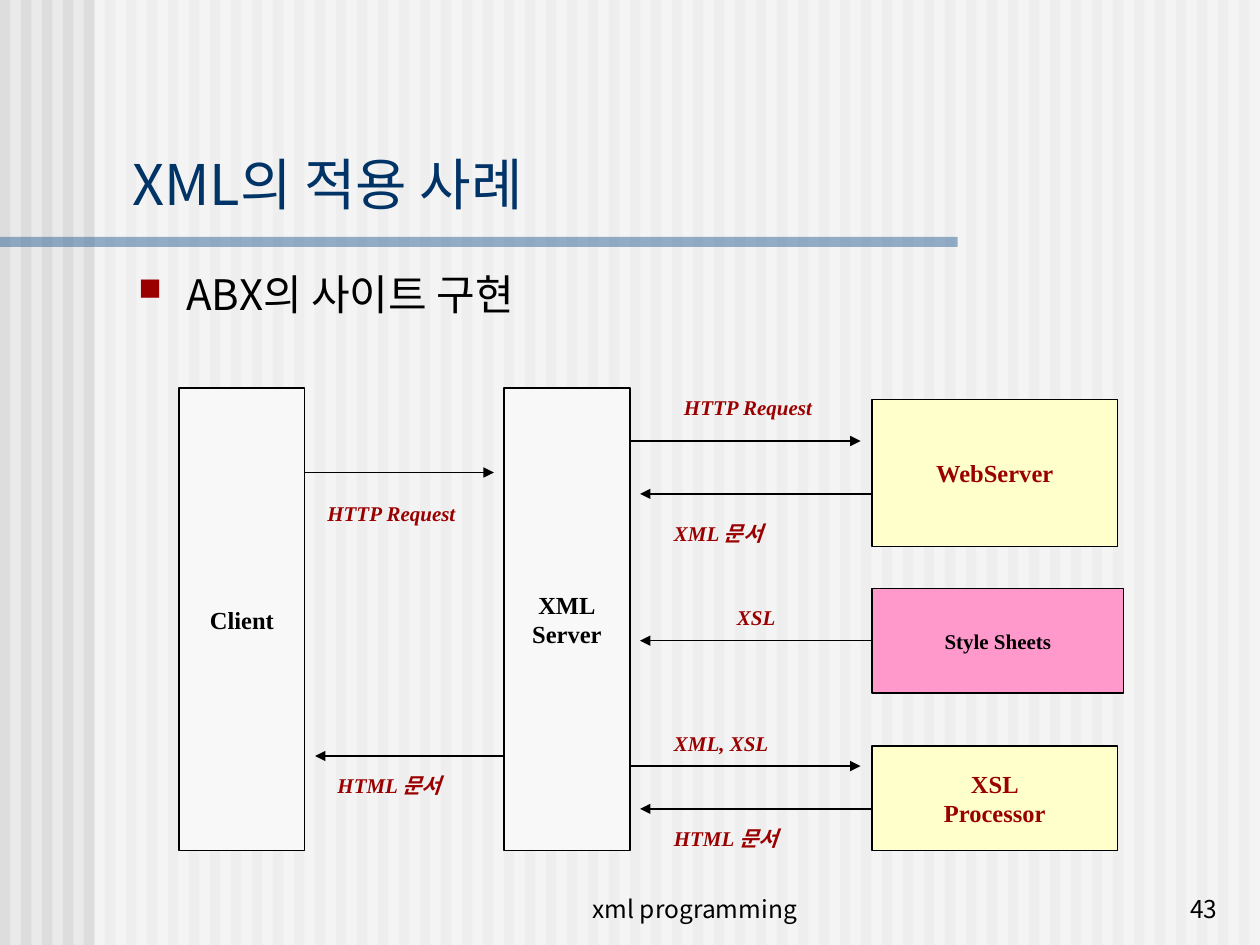
"""Build a slide showing how a site serves XML documents between client and servers."""
from pptx import Presentation
from pptx.dml.color import RGBColor
from pptx.enum.shapes import MSO_CONNECTOR, MSO_SHAPE
from pptx.enum.text import MSO_ANCHOR, PP_ALIGN
from pptx.oxml.ns import qn
from pptx.util import Inches, Pt

RECTANGLE = MSO_SHAPE.RECTANGLE
STRAIGHT = MSO_CONNECTOR.STRAIGHT
TOP, MIDDLE, BOTTOM = MSO_ANCHOR.TOP, MSO_ANCHOR.MIDDLE, MSO_ANCHOR.BOTTOM
LEFT, CENTER, RIGHT = PP_ALIGN.LEFT, PP_ALIGN.CENTER, PP_ALIGN.RIGHT
LEFT_SIDE = 1

SANS, SERIF = "Noto Sans CJK KR", "Times New Roman"
COLORS = {
    "background": "EAEAEA", "stripe": "DDDDDD", "veil": "FFFFFF", "rule": "336699",
    "title": "003366", "black": "000000", "red": "9A0000",
    "gray": "F8F8F8", "yellow": "FFFFCC", "pink": "FF99CC",
}
SLIDE_WIDTH, SLIDE_HEIGHT = 10, 7.5
STRIPE_COUNT = 60
STRIPE_PITCH = SLIDE_WIDTH / STRIPE_COUNT

TITLE = "XML의 적용 사례"
BULLET = "ABX의 사이트 구현"
FOOTER = "xml programming"
PAGE_NUMBER = "43"

NODES = [
    ("Client", (1.42, 3.08, 1, 3.67), "gray", "black", 14),
    ("XML\nServer", (4, 3.08, 1, 3.67), "gray", "black", 14),
    ("WebServer", (6.92, 3.17, 1.95, 1.17), "yellow", "red", 14),
    ("Style Sheets", (6.92, 4.67, 2, 0.83), "pink", "black", 12),
    ("XSL\nProcessor", (6.92, 5.92, 1.95, 0.83), "yellow", "red", 14),
]
FLOWS = [
    (2.42, 3.92, 3.75, None),
    (4, 2.5, 6, None),
    (5, 6.83, 3.5, None),
    (6.92, 5.08, 3.92, None),
    (6.92, 5.08, 5.08, "Style Sheets"),
    (5, 6.83, 6.08, None),
    (6.92, 5.08, 6.42, None),
]
LABELS = [
    ("HTTP Request", 2.5, 3.92),
    ("HTML 문서", 2.58, 6.08),
    ("HTTP Request", 5.33, 3.08),
    ("XML 문서", 5.25, 4.08),
    ("XSL", 5.75, 4.75),
    ("XML, XSL", 5.25, 5.75),
    ("HTML 문서", 5.25, 6.5),
]


def rgb(name):
    return RGBColor.from_string(COLORS[name])


def write(frame, text, size, color="black", font=SANS, bold=False, italic=False,
          align=LEFT, anchor=TOP, wrap=True):
    frame.text = text
    frame.word_wrap = wrap
    frame.vertical_anchor = anchor
    for paragraph in frame.paragraphs:
        paragraph.alignment = align
        for run in paragraph.runs:
            run.font.name = font
            run.font.size = Pt(size)
            run.font.bold = bold
            run.font.italic = italic
            run.font.color.rgb = rgb(color)
            east_asian = run.font._element.makeelement(qn("a:ea"), {"typeface": SANS})
            run.font._element.find(qn("a:latin")).addnext(east_asian)


def add_text(slide, text, box, size, **style):
    frame = slide.shapes.add_textbox(*map(Inches, box)).text_frame
    write(frame, text, size, **style)
    return frame


def add_rectangle(slide, box, fill, alpha=None):
    rectangle = slide.shapes.add_shape(RECTANGLE, *map(Inches, box))
    rectangle.shadow.inherit = False
    rectangle.fill.solid()
    rectangle.fill.fore_color.rgb = rgb(fill)
    rectangle.line.fill.background()
    if alpha:
        color = rectangle._element.spPr.find(qn("a:solidFill"))[0]
        color.append(color.makeelement(qn("a:alpha"), {"val": str(alpha * 1000)}))
    return rectangle


def outline(line):
    line.color.rgb = rgb("black")
    line.width = Pt(0.75)


def add_bullet(paragraph):
    properties = paragraph._p.get_or_add_pPr()
    properties.set("marL", str(Inches(0.38)))
    properties.set("indent", str(-Inches(0.38)))
    color = properties.makeelement(qn("a:buClr"), {})
    color.append(color.makeelement(qn("a:srgbClr"), {"val": COLORS["red"]}))
    properties.append(color)
    for tag, attributes in (("a:buSzPct", {"val": "75000"}), ("a:buChar", {"char": "■"})):
        properties.append(properties.makeelement(qn(tag), attributes))


def add_backdrop(slide):
    slide.background.fill.solid()
    slide.background.fill.fore_color.rgb = rgb("background")
    for index in range(STRIPE_COUNT):
        add_rectangle(slide, (index * STRIPE_PITCH, 0, STRIPE_PITCH / 2, SLIDE_HEIGHT), "stripe")
    add_rectangle(slide, (0.75, 0, SLIDE_WIDTH - 0.75, SLIDE_HEIGHT), "veil", alpha=50)
    add_rectangle(slide, (0, 1.88, 7.6, 0.08), "rule", alpha=50)


def add_node(slide, text, box, fill, color, size):
    node = add_rectangle(slide, box, fill)
    outline(node.line)
    write(node.text_frame, text, size, color=color, font=SERIF, bold=True,
          align=CENTER, anchor=MIDDLE, wrap=False)
    return node


def add_flow(slide, start, end, y, source):
    flow = slide.shapes.add_connector(STRAIGHT, *map(Inches, (start, y, end, y)))
    if source:
        flow.begin_connect(source, LEFT_SIDE)
        flow.end_y = flow.begin_y
    outline(flow.line)
    line = flow.line._get_or_add_ln()
    line.append(line.makeelement(qn("a:tailEnd"), {"type": "triangle"}))
    properties = flow._element.spPr
    properties.append(properties.makeelement(qn("a:effectLst"), {}))


def main():
    presentation = Presentation()
    presentation.slide_width = Inches(SLIDE_WIDTH)
    presentation.slide_height = Inches(SLIDE_HEIGHT)
    slide = presentation.slides.add_slide(presentation.slide_layouts[6])

    add_backdrop(slide)
    add_text(slide, FOOTER, (3.93, 6.88, 3.17, 0.5), 14, align=CENTER, anchor=BOTTOM)
    add_text(slide, PAGE_NUMBER, (7.68, 6.88, 2.08, 0.5), 14, align=RIGHT, anchor=BOTTOM)
    add_text(slide, TITLE, (0.95, 0.94, 8.93, 0.83), 32, color="title", anchor=BOTTOM)
    body = add_text(slide, BULLET, (1, 2.08, 8.87, 4.58), 24)
    add_bullet(body.paragraphs[0])

    nodes = {node[0]: add_node(slide, *node) for node in NODES}
    for start, end, y, source in FLOWS:
        add_flow(slide, start, end, y, nodes.get(source))
    for text, left, top in LABELS:
        add_text(slide, text, (left, top, 1.25, 0.3), 12, color="red", font=SERIF,
                 bold=True, italic=True)

    presentation.save("out.pptx")


if __name__ == "__main__":
    main()
